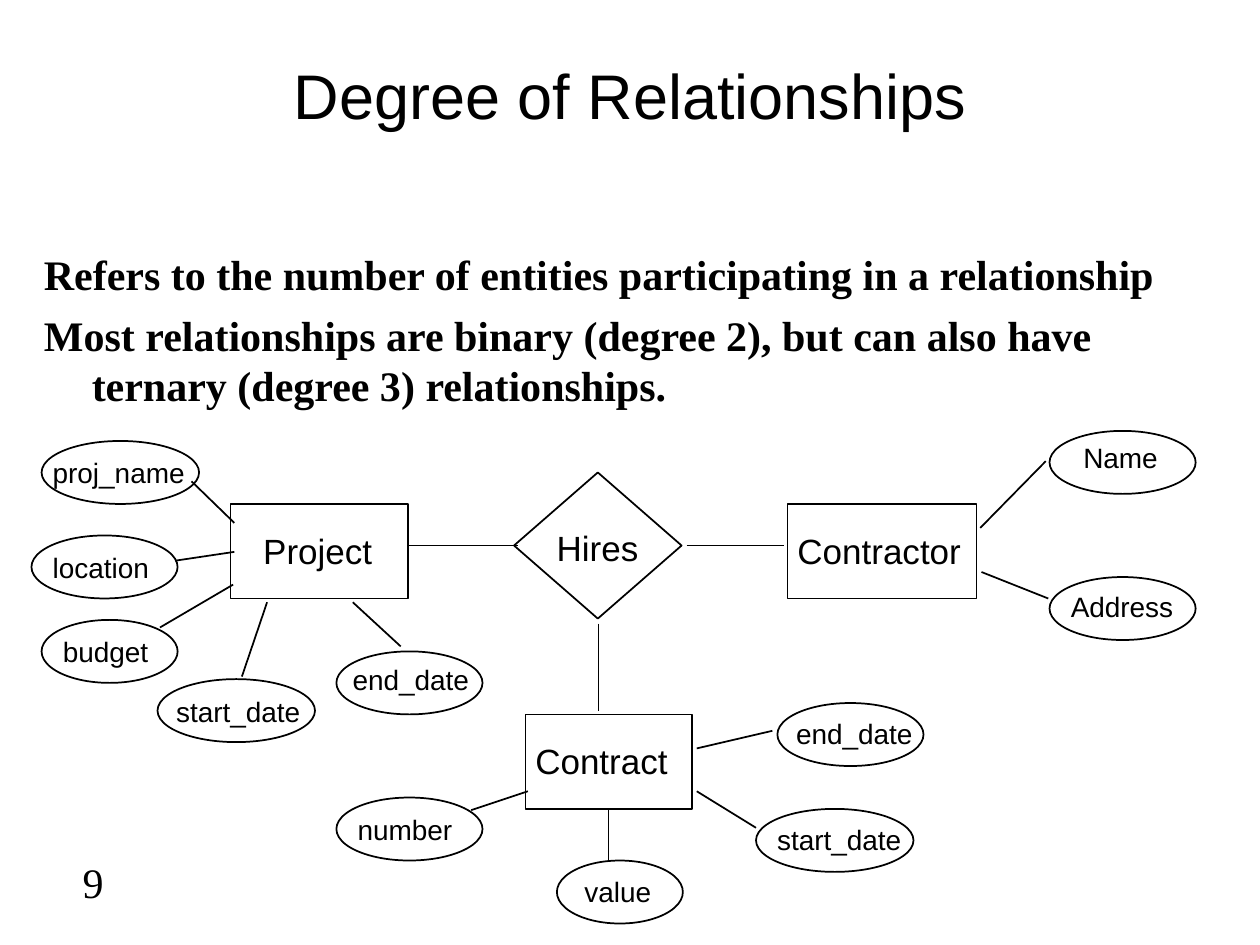
from dataclasses import dataclass

from lxml import etree
from pptx import Presentation
from pptx.dml.color import RGBColor
from pptx.enum.shapes import MSO_CONNECTOR, MSO_SHAPE
from pptx.enum.text import MSO_ANCHOR, MSO_AUTO_SIZE, PP_ALIGN
from pptx.oxml.ns import qn
from pptx.util import Inches, Pt

RECT, DIAMOND, OVAL = MSO_SHAPE.RECTANGLE, MSO_SHAPE.DIAMOND, MSO_SHAPE.OVAL
STRAIGHT = MSO_CONNECTOR.STRAIGHT
LEFT, CENTER, RIGHT = PP_ALIGN.LEFT, PP_ALIGN.CENTER, PP_ALIGN.RIGHT
TOP, MIDDLE = MSO_ANCHOR.TOP, MSO_ANCHOR.MIDDLE
FIT = MSO_AUTO_SIZE.SHAPE_TO_FIT_TEXT
BOTTOM_SITE = 2


@dataclass(frozen=True)
class Theme:
    ink: RGBColor = RGBColor(0, 0, 0)
    sans: str = "Arial"
    serif: str = "Times New Roman"
    title: int = 36
    body: int = 24
    entity: int = 20
    attribute: int = 16
    line: float = 1


class Diagram:
    """Draws on one slide in one theme."""

    def __init__(self, slide, theme):
        self.shapes = slide.shapes
        self.theme = theme

    def text(self, box, paragraphs, size, font, bold=False, align=LEFT,
             anchor=TOP, wrap=True, hanging=0, gap=0):
        sp = self.shapes.add_textbox(*map(Inches, box))
        tf = sp.text_frame
        tf.word_wrap, tf.vertical_anchor = wrap, anchor
        if not wrap:
            tf.auto_size = FIT
        formats = {"name": font, "size": Pt(size), "bold": bold}
        for i, content in enumerate(paragraphs):
            p = tf.add_paragraph() if i else tf.paragraphs[0]
            p.alignment = align
            if i and gap:
                p.space_before = Pt(gap)
            if hanging:
                pPr = p._p.get_or_add_pPr()
                pPr.set("marL", str(Inches(hanging)))
                pPr.set("indent", str(-Inches(hanging)))
            r = p.add_run()
            r.text = content
            for key, value in formats.items():
                setattr(r.font, key, value)
            r.font.color.rgb = self.theme.ink

    def label(self, name, left, top, width, height, size):
        """One unwrapped line, with a little slack so that it never breaks."""
        self.text((left, top, width + 0.05, height), [name], size,
                  self.theme.sans, wrap=False)

    def outline(self, kind, box):
        sp = self.shapes.add_shape(kind, *map(Inches, box))
        sp.shadow.inherit = False
        sp.fill.background()
        sp.line.color.rgb = self.theme.ink
        sp.line.width = Pt(self.theme.line)
        return sp

    def entity(self, name, kind, box, label):
        sp = self.outline(kind, box)
        self.label(name, *label, 0.43, self.theme.entity)
        return sp

    def attribute(self, name, left, top, width, label):
        self.outline(OVAL, (left, top, width, 0.5))
        self.label(name, *label, 0.36, self.theme.attribute)

    def link(self, x1, y1, x2, y2, begin=None):
        line = self.shapes.add_connector(STRAIGHT, *map(Inches, (x1, y1, x2, y2)))
        if begin is not None:
            line.begin_connect(begin, BOTTOM_SITE)
        line.line.color.rgb = self.theme.ink
        line.line.width = Pt(self.theme.line)
        etree.SubElement(line._element.spPr, qn("a:effectLst"))


# name, outline, box, label (left, top, width)
ENTITIES = [
    ("Hires", DIAMOND, (4.08, 3.75, 1.33, 1.16), (4.32, 4.13, 0.85)),
    ("Project", RECT, (1.83, 4, 1.41, 0.75), (1.99, 4.15, 1.06)),
    ("Contractor", RECT, (6.25, 4, 1.5, 0.75), (6.23, 4.15, 1.5)),
    ("Contract", RECT, (4.17, 5.67, 1.32, 0.75), (4.15, 5.82, 1.25)),
]

# name, left, top, width, label (left, top, width)
ATTRIBUTES = [
    ("number", 2.67, 6.33, 1.16, (2.74, 6.4, 0.95)),
    ("value", 4.42, 6.83, 1, (4.54, 6.89, 0.73)),
    ("start_date", 6, 6.42, 1.25, (6.07, 6.48, 1.18)),
    ("end_date", 6.17, 5.58, 1.16, (6.22, 5.64, 1.12)),
    ("Name", 8.33, 3.42, 1.16, (8.5, 3.45, 0.79)),
    ("Address", 8.33, 4.58, 1.16, (8.4, 4.63, 1.01)),
    ("proj_name", 0.33, 3.5, 1.25, (0.32, 3.57, 1.25)),
    ("location", 0.25, 4.25, 1.16, (0.32, 4.32, 0.96)),
    ("budget", 0.33, 4.92, 1.08, (0.4, 4.99, 0.88)),
    ("start_date", 1.25, 5.39, 1.25, (1.3, 5.46, 1.18)),
    ("end_date", 2.67, 5.17, 1.16, (2.7, 5.21, 1.12)),
]

RELATIONSHIP_LINKS = [
    (4.11, 4.33, 3.23, 4.33),
    (5.45, 4.33, 6.22, 4.33),
    (4.75, 4.95, 4.75, 5.64),
]
PROJECT_LINKS = [
    (1.86, 4.15, 1.52, 3.82),
    (1.86, 4.38, 1.39, 4.45),
    (1.85, 4.64, 1.27, 4.98),
    (2.12, 4.78, 1.92, 5.37),
    (2.8, 4.78, 3.18, 5.13),
]
CONTRACTOR_LINKS = [
    (7.78, 4.19, 8.3, 3.66),
    (7.79, 4.54, 8.32, 4.75),
]
CONTRACT_LINKS = [
    (4.19, 6.28, 3.74, 6.43),
    (5.53, 5.94, 6.13, 5.8),
    (5.53, 6.28, 6, 6.57),
]
VALUE_LINK = (4.83, 6.42, 4.83, 6.83)


def main():
    prs = Presentation()
    prs.slide_width, prs.slide_height = Inches(10), Inches(7.5)
    theme = Theme()
    s = Diagram(prs.slides.add_slide(prs.slide_layouts[6]), theme)

    s.text((0.75, 0.25, 8.5, 1), ["Degree of Relationships"], theme.title,
           theme.sans, align=CENTER, anchor=MIDDLE)
    s.text((0.25, 1.92, 9.25, 1.42), [
        "Refers to the number of entities participating in a relationship",
        "Most relationships are binary (degree 2), but can also have "
        "ternary (degree 3) relationships.",
    ], theme.body, theme.serif, bold=True, hanging=0.38, gap=6)

    entities = {row[0]: s.entity(*row) for row in ENTITIES}
    for row in ATTRIBUTES:
        s.attribute(*row)
    for ends in RELATIONSHIP_LINKS + PROJECT_LINKS + CONTRACTOR_LINKS + CONTRACT_LINKS:
        s.link(*ends)
    s.link(*VALUE_LINK, begin=entities["Contract"])

    s.text((0.17, 6.75, 0.75, 0.5), ["9"], theme.body, theme.serif, align=RIGHT)
    prs.save("out.pptx")


if __name__ == "__main__":
    main()
